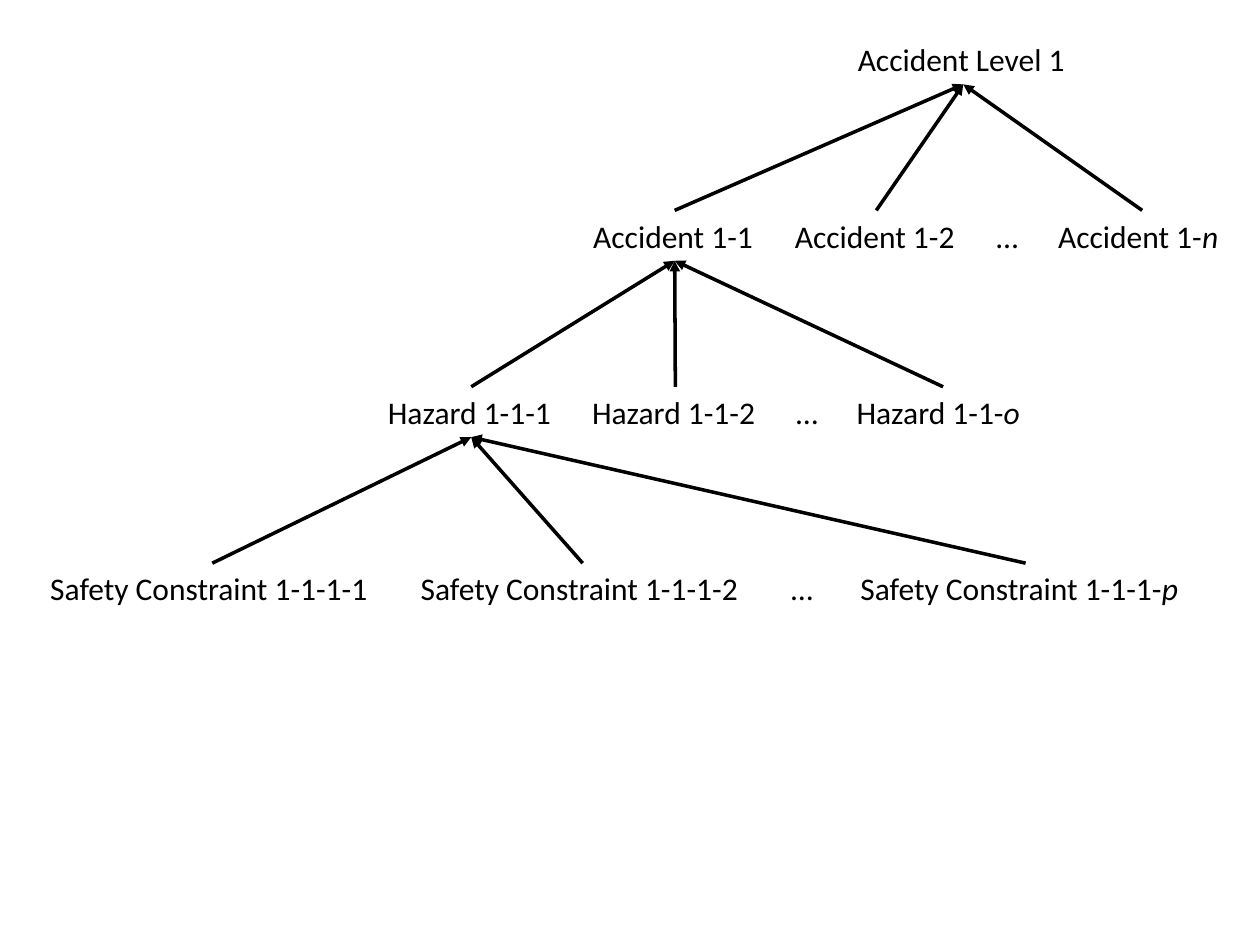
from dataclasses import dataclass

from lxml.etree import SubElement
from pptx import Presentation
from pptx.dml.color import RGBColor
from pptx.enum.shapes import MSO_CONNECTOR as Connector
from pptx.enum.text import MSO_AUTO_SIZE as AutoSize
from pptx.oxml.ns import qn
from pptx.util import Inches, Pt


@dataclass(frozen=True)
class Theme:
    """Colours, type and grid lengths of the slide."""
    ink: RGBColor = RGBColor(0, 0, 0)
    font: str = "Calibri"
    size: Pt = Pt(18)
    line: Pt = Pt(2)
    top: float = 0.27
    row: float = 1.4
    label_height: float = 0.4
    dots_width: float = 0.38


@dataclass(frozen=True)
class Level:
    """A row of siblings: their shared wording, last index and spacing."""
    stem: str
    last: str
    left: float
    width: float
    last_width: float
    gap: float


THEME = Theme()
ROOT = ("Accident Level 1", 6.71, 1.87)
LEVELS = (
    Level("Accident 1-", "n", 4.61, 1.49, 1.53, 0.11),
    Level("Hazard 1-1-", "o", 2.98, 1.52, 1.57, 0.1),
    Level("Safety Constraint 1-1-1-", "p", 0.3, 2.77, 2.82, 0.17),
)


def add_label(shapes, text, left, top, width, italic=""):
    """Add a one-line label, with an optional italic ending."""
    box = shapes.add_textbox(*map(Inches, (left, top, width, THEME.label_height)))
    frame = box.text_frame
    for name, value in {"word_wrap": False, "auto_size": AutoSize.SHAPE_TO_FIT_TEXT}.items():
        setattr(frame, name, value)
    for part, slanted in ((text, None), (italic, True)):
        if part:
            run = frame.paragraphs[0].add_run()
            run.text = part
            run.font.color.rgb = THEME.ink
            font_format = {"name": THEME.font, "size": THEME.size, "italic": slanted}
            for name, value in font_format.items():
                setattr(run.font, name, value)
    return box


def add_arrow(shapes, child, parent):
    """Draw an arrow from the top of a child to the bottom of its parent."""
    arrow = shapes.add_connector(
        Connector.STRAIGHT,
        child.left + child.width // 2, child.top,
        parent.left + parent.width // 2, parent.top + parent.height,
    )
    arrow.line.color.rgb = THEME.ink
    arrow.line.width = THEME.line
    SubElement(arrow.line._get_or_add_ln(), qn("a:tailEnd"), type="triangle")
    SubElement(arrow._element.spPr, qn("a:effectLst"))


def add_level(shapes, level, top):
    """Lay out one row of siblings in a group and return the nodes."""
    group = shapes.add_group_shape()
    items = (
        (level.stem + "1", "", level.width),
        (level.stem + "2", "", level.width),
        ("…", "", THEME.dots_width),
        (level.stem, level.last, level.last_width),
    )
    labels, left = [], level.left
    for text, italic, width in items:
        labels.append(add_label(group.shapes, text, left, top, width, italic))
        left += width + level.gap
    first, second, _, last = labels
    return first, second, last


def main():
    """Build the hierarchy from the accident level to the safety constraints."""
    presentation = Presentation()
    presentation.slide_width, presentation.slide_height = Inches(10), Inches(7.5)
    slide = presentation.slides.add_slide(presentation.slide_layouts[6])
    text, left, width = ROOT
    parent = add_label(slide.shapes, text, left, THEME.top, width)
    for depth, level in enumerate(LEVELS, start=1):
        children = add_level(slide.shapes, level, THEME.top + depth * THEME.row)
        for child in children:
            add_arrow(slide.shapes, child, parent)
        parent = children[0]
    presentation.save("out.pptx")


main()
